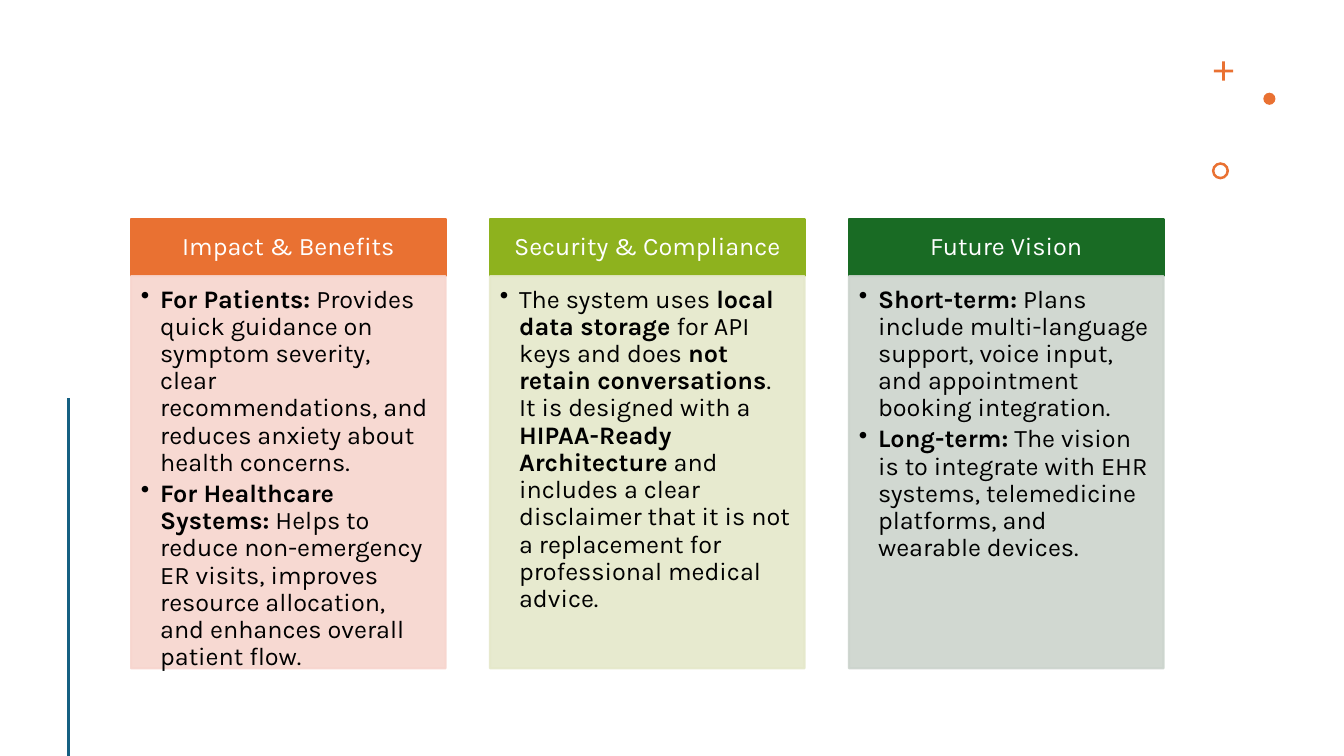
from dataclasses import dataclass

from lxml import etree
from pptx import Presentation
from pptx.dml.color import RGBColor
from pptx.enum.shapes import MSO_CONNECTOR, MSO_SHAPE
from pptx.enum.text import MSO_ANCHOR, PP_ALIGN
from pptx.oxml.ns import qn
from pptx.util import Inches, Pt

RECT, OVAL = MSO_SHAPE.RECTANGLE, MSO_SHAPE.OVAL
CROSS, DONUT = MSO_SHAPE.CROSS, MSO_SHAPE.DONUT
STRAIGHT = MSO_CONNECTOR.STRAIGHT
TOP, MIDDLE = MSO_ANCHOR.TOP, MSO_ANCHOR.MIDDLE
LEFT, CENTER = PP_ALIGN.LEFT, PP_ALIGN.CENTER


@dataclass(frozen=True)
class Theme:
    font: str = "Karla"
    size: float = 18
    light: str = "FFFFFF"
    dark: str = "000000"
    accent: str = "E97132"
    rule: str = "156082"
    heads: tuple = ("E97132", "8EB21E", "196B24")
    tints: tuple = ("F7D5CE", "E5E8CA", "CCD4CD")
    alpha: int = 90


CARDS = [
    ("Impact & Benefits", [
        "**For Patients:** Provides quick guidance on symptom severity, clear "
        "recommendations, and reduces anxiety about health concerns.",
        "**For Healthcare Systems:** Helps to reduce non-emergency ER visits, "
        "improves resource allocation, and enhances overall patient flow.",
    ]),
    ("Security & Compliance", [
        "The system uses **local data storage** for API keys and does "
        "**not retain conversations**. It is designed with a "
        "**HIPAA-Ready Architecture** and includes a clear disclaimer that "
        "it is not a replacement for professional medical advice.",
    ]),
    ("Future Vision", [
        "**Short-term:** Plans include multi-language support, voice input, "
        "and appointment booking integration.",
        "**Long-term:** The vision is to integrate with EHR systems, "
        "telemedicine platforms, and wearable devices.",
    ]),
]


def write(para, text, *, font, size, color, align=LEFT, after=0, bullet=False):
    """Fill a paragraph; parts between ** marks are bold."""
    para.alignment = align
    para.line_spacing = 0.9
    para.space_after = Pt(after)
    if bullet:
        props = para._p.get_or_add_pPr()
        props.set("marL", str(Inches(0.19)))
        props.set("indent", str(-Inches(0.19)))
        etree.SubElement(props, qn("a:buChar")).set("char", "•")
    for i, part in enumerate(text.split("**")):
        if part:
            run = para.add_run()
            run.text = part
            run.font.name = font
            run.font.size = Pt(size)
            run.font.bold = i % 2 == 1
            run.font.color.rgb = RGBColor.from_string(color)


class Deck:
    def __init__(self, theme, slide):
        self.theme = theme
        self.slide = slide

    def shape(self, kind, x, y, w, h, fill, alpha=100, edge=0):
        item = self.slide.shapes.add_shape(
            kind, Inches(x), Inches(y), Inches(w), Inches(h))
        item.shadow.inherit = False
        item.fill.solid()
        item.fill.fore_color.rgb = RGBColor.from_string(fill)
        if edge:
            item.line.color.rgb = RGBColor.from_string(fill)
            item.line.width = Pt(edge)
        else:
            item.line.fill.background()
        if alpha < 100:
            for node in item._element.spPr.iter(qn("a:srgbClr")):
                etree.SubElement(node, qn("a:alpha")).set("val", str(alpha * 1000))
        return item

    def panel(self, x, y, w, h, fill, lines, pads, anchor=TOP, alpha=100, **style):
        """Draw a filled box with one paragraph per line of text."""
        frame = self.shape(RECT, x, y, w, h, fill, alpha, edge=1.5).text_frame
        frame.word_wrap = True
        frame.vertical_anchor = anchor
        (frame.margin_left, frame.margin_top,
         frame.margin_right, frame.margin_bottom) = map(Inches, pads)
        for i, line in enumerate(lines):
            para = frame.add_paragraph() if i else frame.paragraphs[0]
            write(para, line, font=self.theme.font, size=self.theme.size, **style)

    def card(self, x, title, points, head, tint):
        theme = self.theme
        self.panel(x, 2.17, 3.12, 0.57, head, [title], (0.14, 0.08, 0.14, 0.08),
                   anchor=MIDDLE, color=theme.light, align=CENTER)
        self.panel(x, 2.74, 3.12, 3.89, tint, points, (0.1, 0.1, 0.14, 0.16),
                   alpha=theme.alpha, color=theme.dark, after=2.7, bullet=True)

    def rule(self, x, top, end, color, width):
        line = self.slide.shapes.add_connector(
            STRAIGHT, Inches(x), Inches(top), Inches(x), Inches(end))
        line.line.color.rgb = RGBColor.from_string(color)
        line.line.width = Pt(width)
        etree.SubElement(line._element.spPr, qn("a:effectLst"))


def main():
    deck = Presentation()
    deck.slide_width, deck.slide_height = Inches(13.33), Inches(7.5)
    theme = Theme()
    page = Deck(theme, deck.slides.add_slide(deck.slide_layouts[6]))

    plus = page.shape(CROSS, 12.04, 0.61, 0.19, 0.19, theme.accent)
    plus.adjustments[0] = 0.43
    page.shape(OVAL, 12.53, 0.92, 0.12, 0.12, theme.accent)
    ring = page.shape(DONUT, 12.02, 1.61, 0.17, 0.17, theme.accent)
    ring.adjustments[0] = 0.15
    page.rule(0.68, 3.95, 7.5, theme.rule, 2)

    left, pitch = 1.3, 3.56
    for i, (title, points) in enumerate(CARDS):
        page.card(left + i * pitch, title, points, theme.heads[i], theme.tints[i])

    deck.save("out.pptx")


if __name__ == "__main__":
    main()
